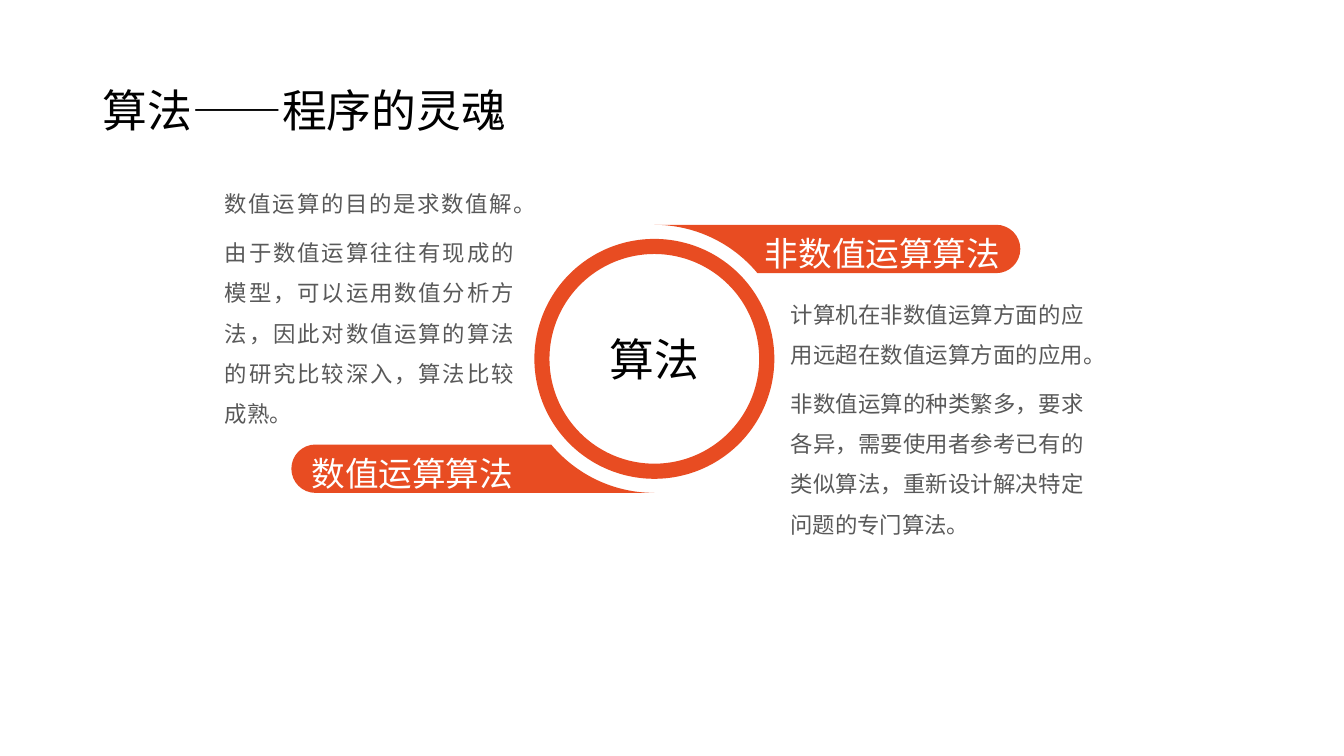
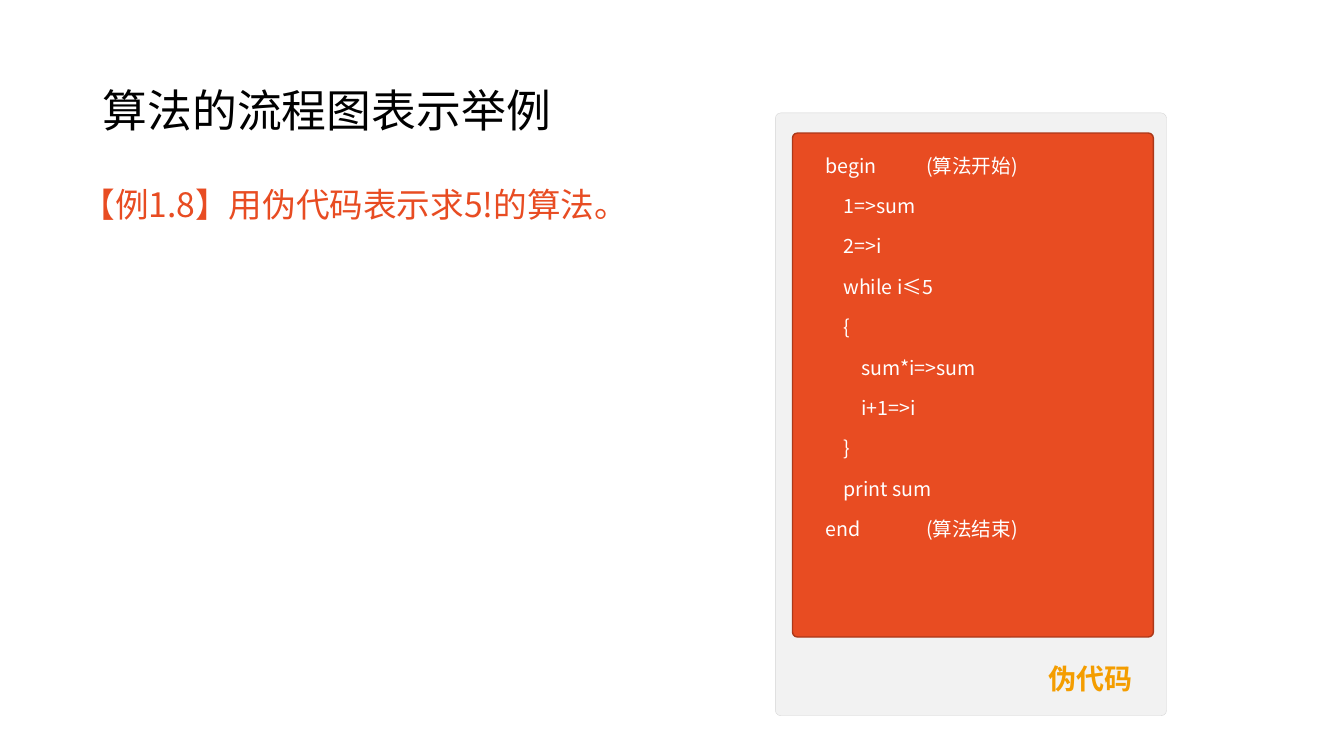
from dataclasses import dataclass
from math import asin, cos, pi, sin, tan

from lxml.etree import SubElement
from pptx import Presentation
from pptx.dml.color import RGBColor
from pptx.enum.shapes import MSO_SHAPE
from pptx.enum.text import MSO_ANCHOR, PP_ALIGN
from pptx.oxml.ns import qn
from pptx.util import Inches, Pt


@dataclass(frozen=True)
class Theme:
    font: str = "Noto Sans CJK SC"
    narrow_font: str = "Arial Narrow"
    accent: str = "E84C22"
    accent_edge: str = "AC3819"
    panel: str = "F2F2F2"
    panel_edge: str = "D5D5D5"
    gold: str = "F49D00"
    ink: str = "000000"
    body_ink: str = "595959"
    white: str = "FFFFFF"
    title_size: int = 32
    heading_size: int = 24
    label_size: int = 20
    body_size: int = 16
    code_size: int = 14
    line_height: float = 1.2


THEME = Theme()
SLIDE_SIZE = (13.33, 7.5)

TITLES = ("算法——程序的灵魂", "算法的流程图表示举例")
HUB_LABEL = "算法"
HUB_CENTER = (6.49, 3.56)
HUB_DIAMETER = 2.38
BANNER_RADIUS = 1.33
BANNER_HEIGHT = 0.48

# side is 1 for upper right, -1 for its reflection through the hub centre
BRANCHES = [
    {
        "heading": "非数值运算算法",
        "font": THEME.narrow_font,
        "side": 1,
        "reach": 3.63,
        "align": PP_ALIGN.RIGHT,
        "body_box": (7.84, 2.69, 3.11, 1.89),
        "body_anchor": MSO_ANCHOR.TOP,
        "body": [
            "计算机在非数值运算方面的应用远超在数值运算方面的应用。",
            "非数值运算的种类繁多，要求各异，需要使用者参考已有的类似算法，重新设计解决特定问题的专门算法。",
        ],
    },
    {
        "heading": "数值运算算法",
        "font": THEME.font,
        "side": -1,
        "reach": 3.6,
        "align": PP_ALIGN.LEFT,
        "body_box": (2.23, 2.06, 3.07, 2.34),
        "body_anchor": MSO_ANCHOR.BOTTOM,
        "body": [
            "数值运算的目的是求数值解。",
            "由于数值运算往往有现成的模型，可以运用数值分析方法，因此对数值运算的算法的研究比较深入，算法比较成熟。",
        ],
    },
]

EXAMPLE = "【例1.8】用伪代码表示求5!的算法。"
CODE_LABEL = "伪代码"
CODE_INDENT = 0.18
CODE_TAB = 1
CODE = [
    (0, "begin\t(算法开始)"),
    (1, "1=>sum"),
    (1, "2=>i"),
    (1, "while i≤5"),
    (1, "{"),
    (2, "sum*i=>sum"),
    (2, "i+1=>i"),
    (1, "}"),
    (1, "print sum"),
    (0, "end\t(算法结束)"),
]


def write_text(shape, lines, *, size, color, font=THEME.font, bold=False,
               align=PP_ALIGN.LEFT, anchor=MSO_ANCHOR.TOP, spacing=1.0,
               before=0, after=0, insets=(0.1, 0.05, 0.1, 0.05)):
    """Fill a shape with lines, each a string or a pair (indent level, string)."""
    frame = shape.text_frame
    frame.word_wrap = True
    frame.vertical_anchor = anchor
    (frame.margin_left, frame.margin_top,
     frame.margin_right, frame.margin_bottom) = map(Inches, insets)
    for index, line in enumerate(lines):
        level, text = line if isinstance(line, tuple) else (0, line)
        paragraph = frame.add_paragraph() if index else frame.paragraphs[0]
        paragraph.alignment = align
        paragraph.line_spacing = Pt(size * THEME.line_height * spacing)
        paragraph.space_before = Pt(before)
        paragraph.space_after = Pt(after)
        properties = paragraph._p.get_or_add_pPr()
        if level:
            properties.set("marL", str(Inches(level * CODE_INDENT)))
            properties.set("indent", "0")
        if "\t" in text:
            tab = SubElement(SubElement(properties, qn("a:tabLst")), qn("a:tab"))
            tab.set("pos", str(Inches(CODE_TAB)))
            tab.set("algn", "l")
        run = paragraph.add_run()
        run.text = text
        run.font.size = Pt(size)
        run.font.bold = bold
        run.font.name = font
        run.font.color.rgb = RGBColor.from_string(color)
        run_properties = run._r.get_or_add_rPr()
        run_properties.set("lang", "zh-CN")
        SubElement(run_properties, qn("a:ea")).set("typeface", THEME.font)


def add_text(slide, box, lines, **text_format):
    write_text(slide.shapes.add_textbox(*map(Inches, box)), lines, **text_format)


def paint(shape, fill, line=None, width=0):
    shape.shadow.inherit = False
    shape.fill.solid()
    shape.fill.fore_color.rgb = RGBColor.from_string(fill)
    if line:
        shape.line.color.rgb = RGBColor.from_string(line)
        shape.line.width = Pt(width)
    else:
        shape.line.fill.background()


def add_preset(slide, preset, box, adjustment, fill, line=None, width=0):
    shape = slide.shapes.add_shape(preset, *map(Inches, box))
    shape.adjustments[0] = adjustment
    paint(shape, fill, line, width)
    return shape


def arc(center, radius, start, end):
    """Return the start, two control points and end of one Bézier arc."""
    handle = 4 / 3 * tan((end - start) / 4)
    offsets = [
        (cos(start), sin(start)),
        (cos(start) - handle * sin(start), sin(start) + handle * cos(start)),
        (cos(end) + handle * sin(end), sin(end) - handle * cos(end)),
        (cos(end), sin(end)),
    ]
    return [(center[0] + radius * x, center[1] - radius * y) for x, y in offsets]


def curve_segments(shape, first_segments):
    """Turn each run of three straight segments into one cubic curve."""
    segments = list(shape._element.iter(qn("a:lnTo")))
    for first in first_segments:
        curve = segments[first]
        curve.tag = qn("a:cubicBezTo")
        for segment in segments[first + 1:first + 3]:
            curve.append(segment[0])
            segment.getparent().remove(segment)


def add_banner(slide, side, reach):
    """Draw a band with a round outer end and an inner edge that follows the hub."""
    cap = BANNER_HEIGHT / 2
    cap_center = (reach - cap, cap - BANNER_RADIUS)
    inner_end = asin((BANNER_RADIUS - BANNER_HEIGHT) / BANNER_RADIUS)
    outline = (arc(cap_center, cap, pi / 2, 0)
               + arc(cap_center, cap, 0, -pi / 2)[1:]
               + arc((0, 0), BANNER_RADIUS, inner_end, pi / 2))
    points = [(Inches(HUB_CENTER[0] + side * x), Inches(HUB_CENTER[1] + side * y))
              for x, y in outline]
    builder = slide.shapes.build_freeform(*points[0], scale=1.0)
    builder.add_line_segments(points[1:], close=True)
    banner = builder.convert_to_shape()
    curve_segments(banner, (0, 3, 7))
    paint(banner, THEME.accent)
    return banner


def add_slide(presentation, title):
    slide = presentation.slides.add_slide(presentation.slide_layouts[6])
    add_text(slide, (0.92, 0.39, 11.5, 1.45), [title], size=THEME.title_size,
             color=THEME.ink, anchor=MSO_ANCHOR.MIDDLE, spacing=0.9)
    return slide


def build_overview(presentation):
    slide = add_slide(presentation, TITLES[0])
    for branch in BRANCHES:
        banner = add_banner(slide, branch["side"], branch["reach"])
        write_text(banner, [branch["heading"]], size=THEME.heading_size,
                   color=THEME.white, font=branch["font"], align=branch["align"],
                   anchor=MSO_ANCHOR.MIDDLE, spacing=1.2, insets=(0.2, 0, 0.2, 0))
        add_text(slide, branch["body_box"], branch["body"], size=THEME.body_size,
                 color=THEME.body_ink, align=PP_ALIGN.JUSTIFY,
                 anchor=branch["body_anchor"], spacing=1.5, before=6,
                 insets=(0, 0.16, 0.2, 0.16))
    corner = [middle - HUB_DIAMETER / 2 for middle in HUB_CENTER]
    hub = add_preset(slide, MSO_SHAPE.DONUT, (*corner, HUB_DIAMETER, HUB_DIAMETER),
                     0.063, THEME.accent)
    write_text(hub, [HUB_LABEL], size=THEME.title_size, color=THEME.ink,
               align=PP_ALIGN.CENTER, anchor=MSO_ANCHOR.MIDDLE, insets=(0, 0, 0, 0))


def build_pseudocode(presentation):
    slide = add_slide(presentation, TITLES[1])
    add_text(slide, (0.71, 1.7, 9.06, 0.64), [EXAMPLE], size=THEME.heading_size,
             color=THEME.accent, spacing=1.2)
    add_preset(slide, MSO_SHAPE.ROUNDED_RECTANGLE, (7.69, 1.12, 3.88, 5.98), 0.014,
               THEME.panel, THEME.panel_edge, 0.25)
    code_card = add_preset(slide, MSO_SHAPE.ROUNDED_RECTANGLE, (7.86, 1.32, 3.58, 5),
                           0.014, THEME.accent, THEME.accent_edge, 1)
    write_text(code_card, CODE, size=THEME.code_size, color=THEME.white,
               before=6, after=6, insets=(0.31, 0.19, 0.31, 0.2))
    add_text(slide, (10.3, 6.51, 1.12, 0.72), [CODE_LABEL], size=THEME.label_size,
             color=THEME.gold, bold=True)


def main():
    presentation = Presentation()
    presentation.slide_width, presentation.slide_height = map(Inches, SLIDE_SIZE)
    build_overview(presentation)
    build_pseudocode(presentation)
    presentation.save("out.pptx")


if __name__ == "__main__":
    main()
